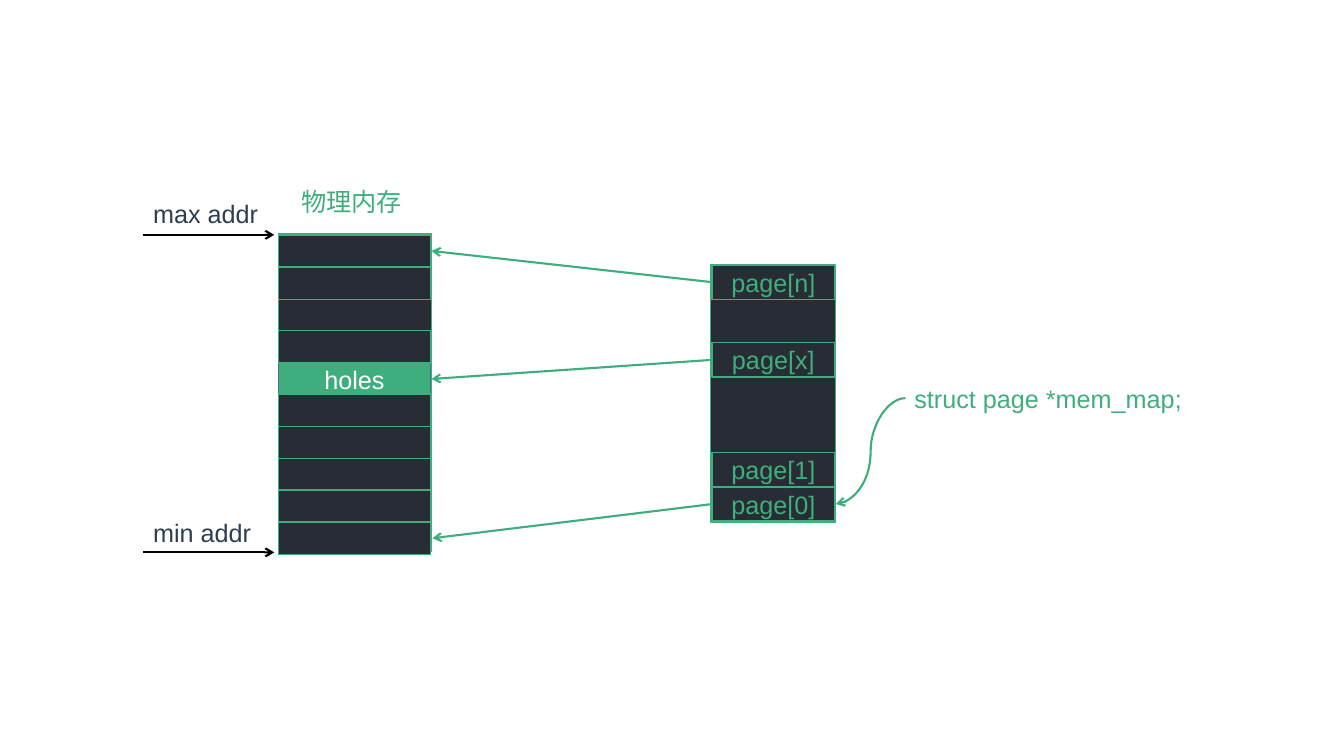
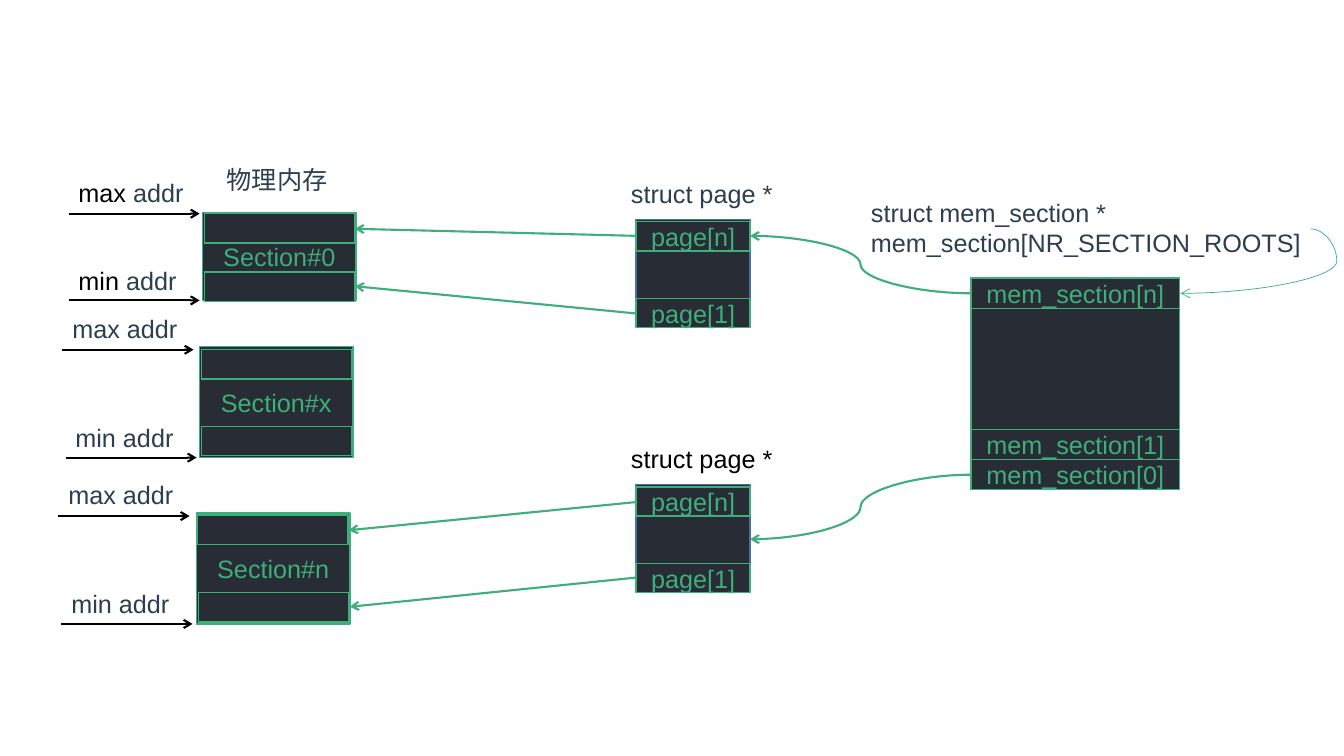
"""Build two diagrams of physical memory: a flat mem_map and sparse sections."""
from lxml.etree import SubElement
from pptx import Presentation
from pptx.dml.color import RGBColor
from pptx.enum.shapes import MSO_CONNECTOR as CONN, MSO_SHAPE as SHAPE
from pptx.enum.text import MSO_ANCHOR as ANCHOR, PP_ALIGN as ALIGN
from pptx.oxml.ns import qn
from pptx.util import Pt

PX = 9144
WIDTH, HEIGHT = 1333, 750

GREEN = RGBColor(0x3E, 0xAF, 0x7C)
DARK = RGBColor(0x28, 0x2C, 0x34)
SLATE = RGBColor(0x2C, 0x3E, 0x50)
BLUE = RGBColor(0x43, 0x73, 0x9E)
BLACK = RGBColor(0, 0, 0)
WHITE = RGBColor(0xFF, 0xFF, 0xFF)

FONT = {"name": "Arial", "size": Pt(18)}
ADDR_W = 130
ADDR_RISE = {"max": 41, "min": 40}

FLAT_MEMORY = (276, 232, 152, 315)
FLAT_ROWS = {"x": 276, "first": 233, "last": 518, "w": 151, "h": 32, "count": 10}
FLAT_OPEN, FLAT_HOLES = 2, 4
FLAT_ADDRS = [("max", 142, 233), ("min", 142, 548)]
MEM_MAP = (705, 263, 124, 255)
MEM_MAP_PAGES = [("page[n]", 263), ("page[x]", 340), ("page[1]", 449), ("page[0]", 483)]
MEM_MAP_ARROWS = [(707, 280, 428, 249), (707, 357, 428, 376), (707, 500, 429, 534)]
MEM_MAP_CURVE = (898, 395, 829, 500)

SECTIONS = [
    {"name": "Section#0", "box": (201, 211, 152, 87), "rows": [(203, 212), (203, 270)],
     "addrs": [("max", 68, 212), ("min", 68, 298)], "word": BLACK},
    {"name": "Section#x", "box": (198, 344, 152, 110), "rows": [(200, 347), (200, 423)],
     "addrs": [("max", 62, 347), ("min", 65, 454)], "word": SLATE},
    {"name": "Section#n", "box": (195, 509, 152, 110), "rows": [(196, 511), (197, 588)],
     "addrs": [("max", 58, 512), ("min", 61, 619)], "word": SLATE},
]
PAGE_TABLES = [(218, SLATE), (481, BLACK)]
PAGE_ROWS = [("page[n]", 2), ("page[1]", 78)]
ROOT = (963, 276, 207, 210)
ROOT_ROWS = [("mem_section[n]", 276), ("mem_section[1]", 426), ("mem_section[0]", 456)]
ROOT_TEXT = ["struct mem_section *", "mem_section[NR_SECTION_ROOTS]"]
ROOT_CURVE = (1300, 227, 1171, 291)
PAGE_CURVES = [(963, 291, 744, 234), (963, 471, 744, 535)]
PAGE_ARROWS = [(631, 234, 352, 227), (631, 311, 352, 284),
               (632, 498, 346, 526), (631, 573, 347, 602)]


def px(*values):
    return [round(v * PX) for v in values]


def write(p, runs):
    for text, color in runs:
        r = p.add_run()
        r.text = text
        for key, value in FONT.items():
            setattr(r.font, key, value)
        r.font.color.rgb = color


def box(s, x, y, w, h, text="", fill=DARK, line=GREEN, color=GREEN):
    sp = s.shapes.add_shape(SHAPE.RECTANGLE, *px(x, y, w, h))
    sp.shadow.inherit = False
    sp.fill.solid()
    sp.fill.fore_color.rgb = fill
    sp.line.color.rgb = line
    sp.line.width = Pt(1)
    if text:
        tf = sp.text_frame
        tf.vertical_anchor = ANCHOR.MIDDLE
        tf.paragraphs[0].alignment = ALIGN.CENTER
        write(tf.paragraphs[0], [(text, color)])


def label(s, x, y, w, *lines):
    tf = s.shapes.add_textbox(*px(x, y, w, 10 + 30 * len(lines))).text_frame
    tf.word_wrap = True
    for i, runs in enumerate(lines):
        write(tf.add_paragraph() if i else tf.paragraphs[0], runs)


def arrow(s, x1, y1, x2, y2, color=GREEN, width=1.5, kind=CONN.STRAIGHT, bend=None):
    c = s.shapes.add_connector(kind, *px(x1, y1, x2, y2))
    c.line.color.rgb = color
    c.line.width = Pt(width)
    pr = c._element.spPr
    SubElement(pr.find(qn("a:ln")), qn("a:tailEnd"), type="arrow")
    SubElement(pr, qn("a:effectLst"))
    if bend is not None:
        guides = pr.find(qn("a:prstGeom")).get_or_add_avLst()
        SubElement(guides, qn("a:gd"), name="adj1", fmla=f"val {bend}")


def address(s, end, x, y, word=SLATE):
    arrow(s, x, y, x + ADDR_W, y, BLACK)
    label(s, x, y - ADDR_RISE[end], 157, [(f"{end} ", word), ("addr", SLATE)])


def flat_slide(s):
    box(s, *FLAT_MEMORY)
    label(s, 289, 180, 126, [("物理内存", GREEN)])
    for addr in FLAT_ADDRS:
        address(s, *addr)
    g = FLAT_ROWS
    pitch = (g["last"] - g["first"]) / (g["count"] - 1)
    tops = [round(g["first"] + i * pitch) for i in range(g["count"])]
    box(s, g["x"], tops[FLAT_HOLES], g["w"], g["h"], "holes", GREEN, BLUE, WHITE)
    for i, top in enumerate(tops):
        if i not in (FLAT_OPEN, FLAT_HOLES):
            box(s, g["x"], top, g["w"], g["h"])
    label(s, 897, 375, 300, [("struct page *mem_map;", GREEN)])
    box(s, *MEM_MAP)
    for name, y in MEM_MAP_PAGES:
        box(s, 706, y, 122, 34, name)
    for ends in MEM_MAP_ARROWS:
        arrow(s, *ends)
    arrow(s, *MEM_MAP_CURVE, kind=CONN.CURVE)


def sparse_slide(s):
    label(s, 215, 158, 126, [("物理内存", SLATE)])
    for section in SECTIONS:
        box(s, *section["box"], section["name"])
        for x, y in section["rows"]:
            box(s, x, y, 149, 29)
        for addr in section["addrs"]:
            address(s, *addr, section["word"])
    for y, color in PAGE_TABLES:
        label(s, 616, y - 46, 180, [("struct page *", color)])
        box(s, 631, y, 113, 106, line=BLUE)
        for name, offset in PAGE_ROWS:
            box(s, 631, y + offset, 113, 29, name)
    label(s, 854, 191, 470, *[[(text, SLATE)] for text in ROOT_TEXT])
    box(s, *ROOT)
    for name, y in ROOT_ROWS:
        box(s, ROOT[0], y, ROOT[2], 30, name)
    arrow(s, *ROOT_CURVE, width=0.5, kind=CONN.CURVE, bend=-20100)
    for ends in PAGE_CURVES:
        arrow(s, *ends, kind=CONN.CURVE)
    for ends in PAGE_ARROWS:
        arrow(s, *ends)


def main():
    prs = Presentation()
    prs.slide_width, prs.slide_height = px(WIDTH, HEIGHT)
    for build in (flat_slide, sparse_slide):
        build(prs.slides.add_slide(prs.slide_layouts[6]))
    prs.save("out.pptx")


if __name__ == "__main__":
    main()
